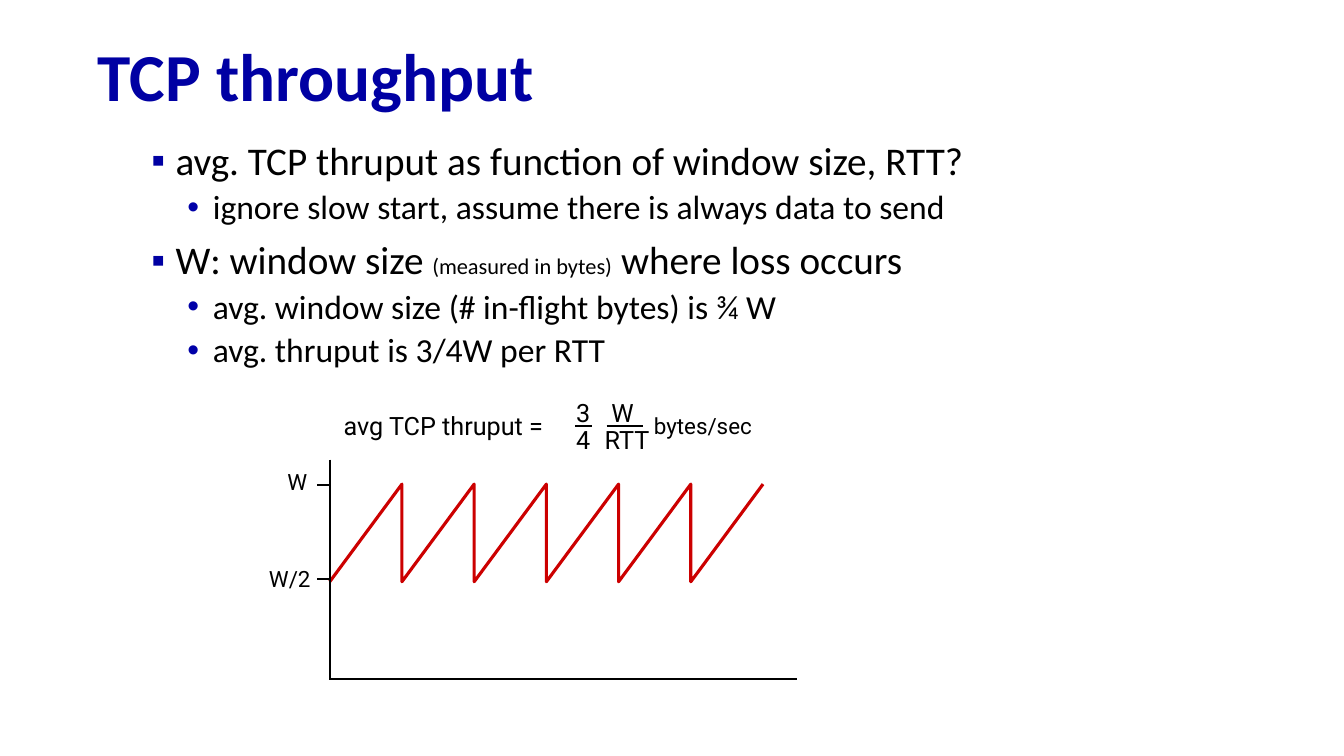
from lxml import etree
from pptx import Presentation
from pptx.dml.color import RGBColor
from pptx.enum.text import MSO_ANCHOR, MSO_AUTO_SIZE, PP_ALIGN
from pptx.oxml.ns import qn
from pptx.util import Cm, Pt

NAVY = RGBColor(0x00, 0x00, 0xA3)
BLUE = RGBColor(0x00, 0x00, 0xA8)
BLACK = RGBColor(0x00, 0x00, 0x00)
RED = RGBColor(0xCC, 0x00, 0x00)

TITLE = "TCP throughput"
# (level, [(text, size)])
POINTS = [
    (0, [("avg. TCP thruput as function of window size, RTT?", 28)]),
    (1, [("ignore slow start, assume there is always data to send", 24)]),
    (0, [("W: window size ", 28), ("(measured in bytes)", 16), (" where loss occurs", 28)]),
    (1, [("avg. window size (# in-flight bytes) is ¾ W", 24)]),
    (1, [("avg. thruput is 3/4W per RTT", 24)]),
]
# level: (bullet, bullet colour, left margin, hanging indent, space before)
LEVELS = {
    0: ("▪", NAVY, Cm(0.99), Cm(0.61), Pt(10)),
    1: ("•", BLUE, Cm(1.93), Cm(0.64), Pt(5)),
}
# (text, size, left, top, width), lengths in cm
LABELS = [
    ("W", 16, 6.99, 11.68, 1.07),
    ("W/2", 16, 6.53, 14.12, 1.6),
    ("avg TCP thruput =", 18, 8.41, 10.21, 6.55),
    ("3", 18, 14.27, 9.88, 0.89),
    ("4", 18, 14.27, 10.57, 0.89),
    ("W", 18, 15.16, 9.88, 1.12),
    ("RTT", 18, 14.99, 10.57, 1.65),
    ("bytes/sec", 16, 16.23, 10.26, 3.18),
]
AXIS_X = 8.31
FRACTION_Y = 10.74
# (x1, y1, x2, y2) in cm: axes, ticks at W and W/2, fraction bars
LINES = [
    (AXIS_X, 17.12, 20.09, 17.12),
    (AXIS_X, 11.58, AXIS_X, 17.14),
    *[(8, y, AXIS_X, y) for y in (12.22, 14.6)],
    *[(x1, FRACTION_Y, x2, FRACTION_Y) for x1, x2 in ((14.5, 14.91), (15.29, 16.21))],
]
TEETH, TOOTH_WIDTH, PEAK_Y, TROUGH_Y = 6, 1.82, 12.2, 14.66


def place(shape, left, top, width, height):
    shape.left, shape.top, shape.width, shape.height = map(Cm, (left, top, width, height))


def add_run(paragraph, text, size, font_name, color, bold=False):
    run = paragraph.add_run()
    run.text = text
    font = run.font
    font.size, font.name, font.bold = Pt(size), font_name, bold
    font.color.rgb = color


def add_bullet(paragraph, char, color, margin, hanging):
    props = paragraph._p.get_or_add_pPr()
    props.set("marL", str(margin))
    props.set("indent", str(-hanging))
    bullet_color = etree.SubElement(props, qn("a:buClr"))
    etree.SubElement(bullet_color, qn("a:srgbClr"), val=str(color))
    etree.SubElement(props, qn("a:buFont"), typeface="Arial")
    etree.SubElement(props, qn("a:buChar"), char=char)


def add_title(slide):
    title = slide.shapes.title
    place(title, 2.21, 0.76, 31.65, 2.49)
    frame = title.text_frame
    frame.vertical_anchor = MSO_ANCHOR.MIDDLE
    frame.auto_size = MSO_AUTO_SIZE.NONE
    heading = frame.paragraphs[0]
    heading.alignment = PP_ALIGN.LEFT
    heading.line_spacing = 0.9
    add_run(heading, TITLE, 48, "Calibri", NAVY, bold=True)


def add_points(slide):
    body = slide.placeholders[1]
    place(body, 3.18, 3.43, 29.67, 12.9)
    frame = body.text_frame
    frame.auto_size = MSO_AUTO_SIZE.NONE
    for i, (level, pieces) in enumerate(POINTS):
        point = frame.add_paragraph() if i else frame.paragraphs[0]
        char, color, margin, hanging, gap = LEVELS[level]
        point.level = level
        add_bullet(point, char, color, margin, hanging)
        point.line_spacing = 0.9
        point.space_before = gap if i else Pt(0)
        for text, size in pieces:
            add_run(point, text, size, "Calibri", BLACK)


def add_sawtooth(slide):
    """Window size climbing from W/2 to W, then halving at each loss."""
    points = []
    for tooth in range(TEETH):
        start = AXIS_X + tooth * TOOTH_WIDTH
        points += [(Cm(start), Cm(TROUGH_Y)), (Cm(start + TOOTH_WIDTH), Cm(PEAK_Y))]
    builder = slide.shapes.build_freeform(*points[0])
    builder.add_line_segments(points[1:], close=False)
    sawtooth = builder.convert_to_shape()
    sawtooth.shadow.inherit = False
    sawtooth.fill.background()
    sawtooth.line.color.rgb = RED
    sawtooth.line.width = Pt(2.25)


def add_lines(slide):
    for ends in LINES:
        line = slide.shapes.add_connector(1, *map(Cm, ends))
        line.line.color.rgb = BLACK
        line.line.width = Pt(1.5)
        etree.SubElement(line._element.spPr, qn("a:effectLst"))


def add_labels(slide):
    for text, size, left, top, width in LABELS:
        height = 1.02 if size == 18 else 0.91
        label = slide.shapes.add_textbox(*map(Cm, (left, top, width, height)))
        label.text_frame.word_wrap = False
        add_run(label.text_frame.paragraphs[0], text, size, "Roboto", BLACK)


def main():
    deck = Presentation()
    deck.slide_width, deck.slide_height = Cm(33.87), Cm(19.05)
    slide = deck.slides.add_slide(deck.slide_layouts[1])
    add_title(slide)
    add_points(slide)
    add_sawtooth(slide)
    add_lines(slide)
    add_labels(slide)
    deck.save("out.pptx")


if __name__ == "__main__":
    main()
